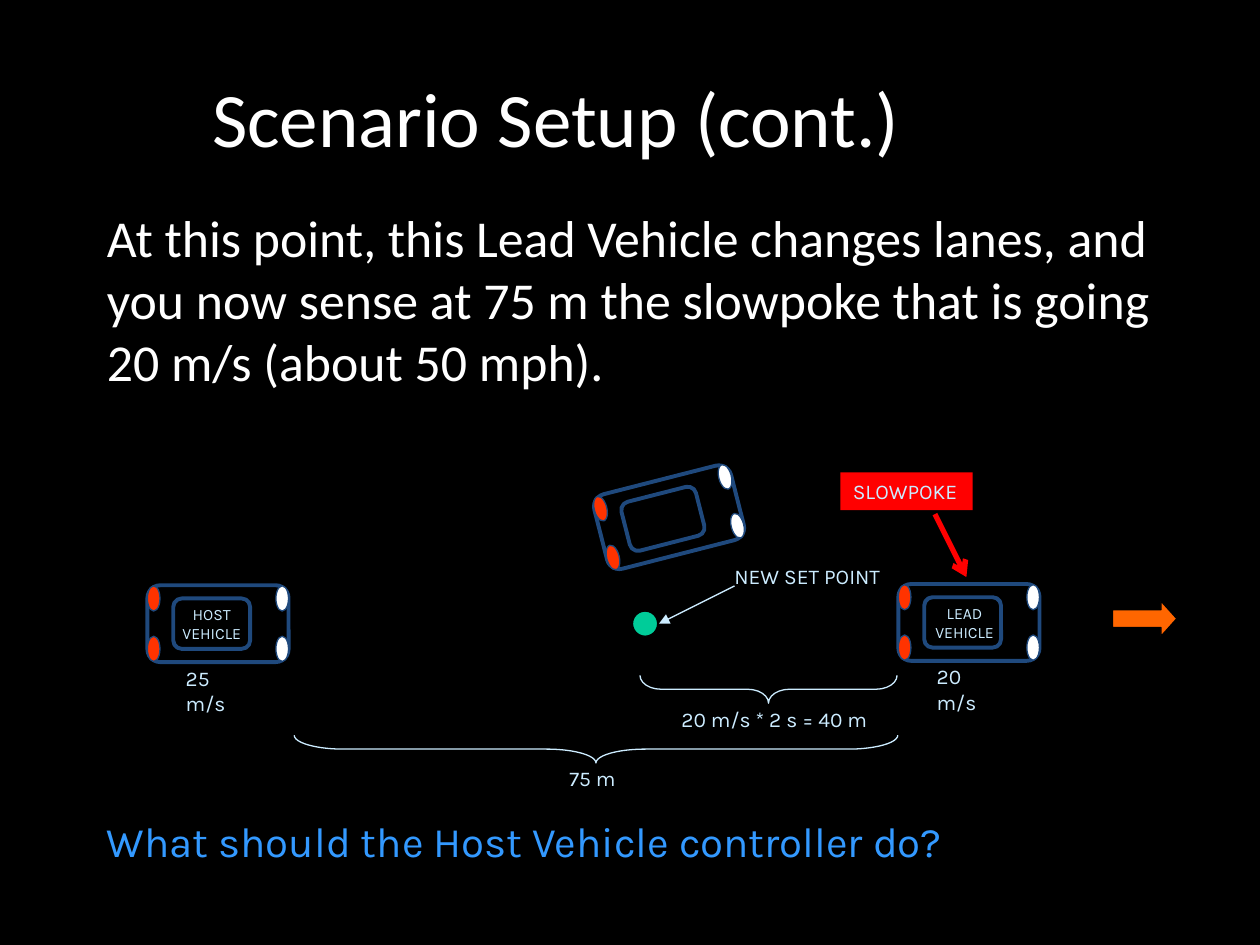
import math
from typing import NamedTuple, Optional

from lxml import etree
from pptx import Presentation
from pptx import util as u
from pptx.dml.color import RGBColor
from pptx.enum import shapes, text
from pptx.oxml import ns

COLORS = {
    "background": "000000",
    "plain": "FFFFFF",
    "label": "CCECFF",
    "question": "3399FF",
    "body": "1F497D",
    "headlight": "FFFFFF",
    "taillight": "FF3300",
    "set_point": "00CC99",
    "motion": "FF6600",
    "alert": "FF0000",
}
COLUMNS, ROWS = 100, 75
CELL = u.Inches(0.1)
SHAPE = shapes.MSO_SHAPE
ALIGN = text.PP_ALIGN


class Box(NamedTuple):
    """Left, top, width and height in grid cells."""
    col: float
    row: float
    cols: float
    rows: float


class Car(NamedTuple):
    """Centre in grid cells, rotation in degrees, names inside and speed below."""
    col: float
    row: float
    angle: float = 0
    name: str = ""
    name_shift: float = 0
    speed: str = ""


class CarPart(NamedTuple):
    """Centre relative to the car's centre, and size, in grid cells."""
    kind: SHAPE
    dx: float
    dy: float
    cols: float
    rows: float
    weight: float
    fill: Optional[str] = None


class Brace(NamedTuple):
    start: float
    end: float
    row: float
    curl: float
    label: str
    label_box: Box
    wrap: bool


class Arrow(NamedTuple):
    start: tuple
    end: tuple
    color: str
    weight: float
    head: str


CAR_PARTS = [
    CarPart(SHAPE.ROUNDED_RECTANGLE, 0, 0, 11.2, 6.1, 2.25),
    CarPart(SHAPE.ROUNDED_RECTANGLE, -0.5, 0, 6.1, 4, 2.25),
] + [
    CarPart(SHAPE.OVAL, dx, dy, 1, 2, 0.75, light)
    for dx, light in ((5.1, "headlight"), (-5.1, "taillight"))
    for dy in (-2, 2)
]

CARS = [
    Car(17.3, 49.5, name="HOST\nVEHICLE", name_shift=-0.5, speed="25 m/s"),
    Car(76.9, 49.4, name="LEAD\nVEHICLE", name_shift=-0.35, speed="20 m/s"),
    Car(53.1, 41.05, angle=345.7),
]

BRACES = [
    Brace(50.8, 71.2, 53.6, 0.76, "20 m/s * 2 s = 40 m", Box(53.1, 55.6, 17.4, 3), False),
    Brace(23.35, 71.25, 58.35, 1.78, "75 m", Box(44.2, 60.3, 6.7, 3), True),
]

ARROWS = [
    Arrow((58.3, 46.5), (52.3, 49.5), "label", 0.75, "triangle"),
    Arrow((74.2, 40.8), (76.7, 45.8), "alert", 3, "arrow"),
]


def cells(*counts: float) -> list:
    return [round(count * CELL) for count in counts]


def rgb(name: str) -> RGBColor:
    return RGBColor.from_string(COLORS[name])


def write(frame, words: str, *, size: float = 12, font: str = "Karla",
          color: str = "label", align=ALIGN.LEFT, anchor=text.MSO_ANCHOR.TOP,
          wrap: bool = False) -> None:
    frame.word_wrap = wrap
    frame.auto_size = text.MSO_AUTO_SIZE.NONE
    frame.vertical_anchor = anchor
    for index, line in enumerate(words.split("\n")):
        paragraph = frame.add_paragraph() if index else frame.paragraphs[0]
        paragraph.alignment = align
        run = paragraph.add_run()
        run.text = line
        run.font.size = u.Pt(size)
        run.font.name = font
        run.font.color.rgb = rgb(color)


def add_text(slide, box: Box, words: str, **style) -> None:
    write(slide.shapes.add_textbox(*cells(*box)).text_frame, words, **style)


def add_shape(slide, kind, box: Box, *, fill: Optional[str] = None,
              line: Optional[str] = None, weight: float = 0.75,
              angle: float = 0, adjust: tuple = ()):
    shape = slide.shapes.add_shape(kind, *cells(*box))
    shape.shadow.inherit = False
    shape.rotation = angle
    for index, value in enumerate(adjust):
        shape.adjustments[index] = value
    if fill:
        shape.fill.solid()
        shape.fill.fore_color.rgb = rgb(fill)
    else:
        shape.fill.background()
    if line:
        shape.line.color.rgb = rgb(line)
        shape.line.width = u.Pt(weight)
    else:
        shape.line.fill.background()
    return shape


def add_car(slide, car: Car) -> None:
    turn = math.radians(car.angle)
    for part in CAR_PARTS:
        col = car.col + part.dx * math.cos(turn) - part.dy * math.sin(turn)
        row = car.row + part.dx * math.sin(turn) + part.dy * math.cos(turn)
        box = Box(col - part.cols / 2, row - part.rows / 2, part.cols, part.rows)
        add_shape(slide, part.kind, box, fill=part.fill, line="body",
                  weight=part.weight, angle=car.angle)
    if car.name:
        add_text(slide, Box(car.col + car.name_shift - 3.55, car.row - 2, 7.1, 4),
                 car.name, size=9, align=ALIGN.CENTER)
    if car.speed:
        add_text(slide, Box(car.col - 3.55, car.row + 2.8, 7.1, 3), car.speed, wrap=True)


def add_brace(slide, brace: Brace) -> None:
    """Turn a left brace so that it opens upwards from start to end."""
    span, depth = brace.end - brace.start, 2.2
    box = Box((brace.start + brace.end - depth) / 2,
              brace.row + (depth - span) / 2, depth, span)
    add_shape(slide, SHAPE.LEFT_BRACE, box, line="label", angle=270,
              adjust=(brace.curl, 0.5))
    add_text(slide, brace.label_box, brace.label, wrap=brace.wrap)


def add_arrow(slide, arrow: Arrow) -> None:
    connector = slide.shapes.add_connector(
        shapes.MSO_CONNECTOR.STRAIGHT, *cells(*arrow.start, *arrow.end))
    connector.line.color.rgb = rgb(arrow.color)
    connector.line.width = u.Pt(arrow.weight)
    outline = connector.line._get_or_add_ln()
    etree.SubElement(outline, ns.qn("a:tailEnd"), type=arrow.head)
    etree.SubElement(connector._element.spPr, ns.qn("a:effectLst"))


def main() -> None:
    deck = Presentation()
    deck.slide_width, deck.slide_height = cells(COLUMNS, ROWS)
    slide = deck.slides.add_slide(deck.slide_layouts[6])
    slide.background.fill.solid()
    slide.background.fill.fore_color.rgb = rgb("background")

    add_text(slide, Box(5, 3, 78.3, 12.5), "Scenario Setup (cont.)", size=44,
             font="Calibri", color="plain", align=ALIGN.CENTER,
             anchor=text.MSO_ANCHOR.MIDDLE, wrap=True)
    add_text(slide, Box(7.5, 15.8, 85, 15),
             "At this point, this Lead Vehicle changes lanes, and you now sense "
             "at 75 m the slowpoke that is going 20 m/s (about 50 mph).",
             size=29.6, font="Calibri", color="plain", wrap=True)
    add_text(slide, Box(7.5, 64.2, 85, 7.5),
             "What should the Host Vehicle controller do?",
             size=24, color="question", wrap=True)

    for car in CARS:
        add_car(slide, car)
    for brace in BRACES:
        add_brace(slide, brace)
    add_shape(slide, SHAPE.RIGHT_ARROW, Box(88.3, 47.7, 5.1, 2.8), fill="motion",
              line="background", adjust=(0.5, 0.45))
    add_shape(slide, SHAPE.OVAL, Box(50.2, 48.5, 2, 2), fill="set_point",
              line="background")
    add_text(slide, Box(57.3, 44.2, 14.4, 3), "NEW SET POINT")
    slowpoke = add_shape(slide, SHAPE.RECTANGLE, Box(66.7, 37.5, 10.5, 3), fill="alert")
    write(slowpoke.text_frame, "SLOWPOKE")
    for arrow in ARROWS:
        add_arrow(slide, arrow)

    deck.save("out.pptx")


if __name__ == "__main__":
    main()
